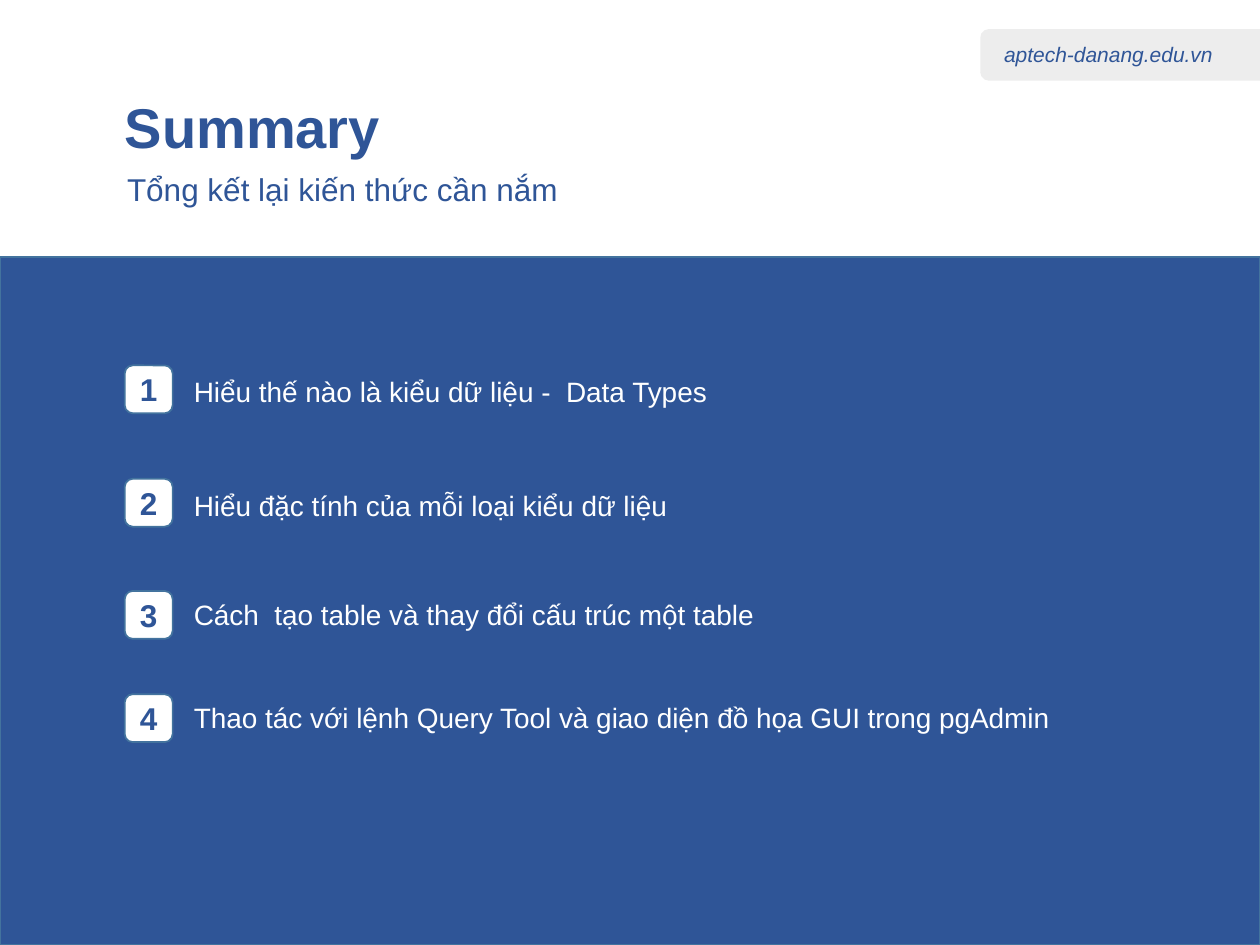
from pptx import Presentation
from pptx import util as u
from pptx.dml.color import RGBColor
from pptx.enum import shapes, text

COLORS = {"navy": "2F5597", "edge": "43739E", "gray": "EDEDED", "white": "FFFFFF"}
COLS, ROWS = 100, 75
CELL = u.Inches(0.1)
TOPICS = [
    (8.6, 0.2, "Hiểu thế nào là kiểu dữ liệu -  Data Types"),
    (17.6, 0.3, "Hiểu đặc tính của mỗi loại kiểu dữ liệu"),
    (26.5, 0, "Cách  tạo table và thay đổi cấu trúc một table"),
    (34.7, 0, "Thao tác với lệnh Query Tool và giao diện đồ họa GUI trong pgAdmin"),
]


def grid(*cells):
    """Turn grid columns and rows into lengths."""
    return [u.Emu(round(c * CELL)) for c in cells]


def rgb(name):
    """Look up a named colour."""
    return RGBColor.from_string(COLORS[name])


def write(sp, words, size, color="navy", bold=False, italic=False,
          align=text.PP_ALIGN.LEFT, anchor=text.MSO_ANCHOR.TOP, spacing=1.0):
    """Put one formatted paragraph in a shape."""
    tf = sp.text_frame
    tf.word_wrap = True
    tf.auto_size = text.MSO_AUTO_SIZE.NONE
    tf.vertical_anchor = anchor
    p = tf.paragraphs[0]
    p.alignment, p.line_spacing = align, spacing
    p.space_before = u.Pt(0)
    r = p.add_run()
    r.text = words
    r.font.name, r.font.size = "Arial", u.Pt(size)
    r.font.bold, r.font.italic = bold, italic
    r.font.color.rgb = rgb(color)


def add_label(s, box, words, size, **fmt):
    """Add a text box on the grid."""
    write(s.shapes.add_textbox(*grid(*box)), words, size, **fmt)


def add_block(s, kind, box, fill, edge=None):
    """Add a filled preset shape on the grid."""
    sp = s.shapes.add_shape(kind, *grid(*box))
    sp.shadow.inherit = False
    sp.fill.solid()
    sp.fill.fore_color.rgb = rgb(fill)
    if edge:
        sp.line.color.rgb = rgb(edge)
        sp.line.width = u.Pt(1)
    else:
        sp.line.fill.background()
    return sp


def add_site_tag(s, x, y, w, h):
    """Draw the web address tab with its rounded side facing left."""
    turned = (x + (w - h) / 2, y + (h - w) / 2, h, w)
    sp = add_block(s, shapes.MSO_SHAPE.ROUND_2_SAME_RECTANGLE, turned, "gray")
    sp.rotation = 270
    add_label(s, (x + 0.9, y + 0.5, 19.5, 3), "aptech-danang.edu.vn", 12, italic=True)


def add_heading(s, x, y, w, h):
    """Place the title and the subtitle below it."""
    title = s.shapes.title
    title.left, title.top, title.width, title.height = grid(x, y, w, h * 0.6)
    write(title, "Summary", 32, bold=True, anchor=text.MSO_ANCHOR.MIDDLE, spacing=0.9)
    add_label(s, (x + 0.2, y + h * 0.61, w - 1.4, h * 0.39),
              "Tổng kết lại kiến thức cần nắm", 18, spacing=0.9)


def add_topics(s, x, y, w, h):
    """Fill the panel with numbered topics."""
    add_block(s, shapes.MSO_SHAPE.RECTANGLE, (x, y, w, h), "navy", "edge")
    for number, (top, drop, words) in enumerate(TOPICS, 1):
        badge = add_block(s, shapes.MSO_SHAPE.ROUNDED_RECTANGLE,
                          (x + 9.9, y + top, 3.8, 3.8), "white", "edge")
        tf = badge.text_frame
        tf.margin_left = tf.margin_right = 0
        write(badge, str(number), 18, bold=True, align=text.PP_ALIGN.CENTER,
              anchor=text.MSO_ANCHOR.MIDDLE)
        add_label(s, (x + 14.4, y + top + drop, 75.7, 3.7), words, 16, color="white")


def main():
    """Build and save the summary slide."""
    prs = Presentation()
    prs.slide_width, prs.slide_height = grid(COLS, ROWS)
    s = prs.slides.add_slide(prs.slide_layouts[5])
    add_topics(s, 0, 20.4, COLS, ROWS - 20.4)
    add_site_tag(s, 77.8, 2.3, COLS - 77.8, 4.1)
    add_heading(s, 8.9, 7.4, 86.2, 9.8)
    prs.save("out.pptx")


if __name__ == "__main__":
    main()
